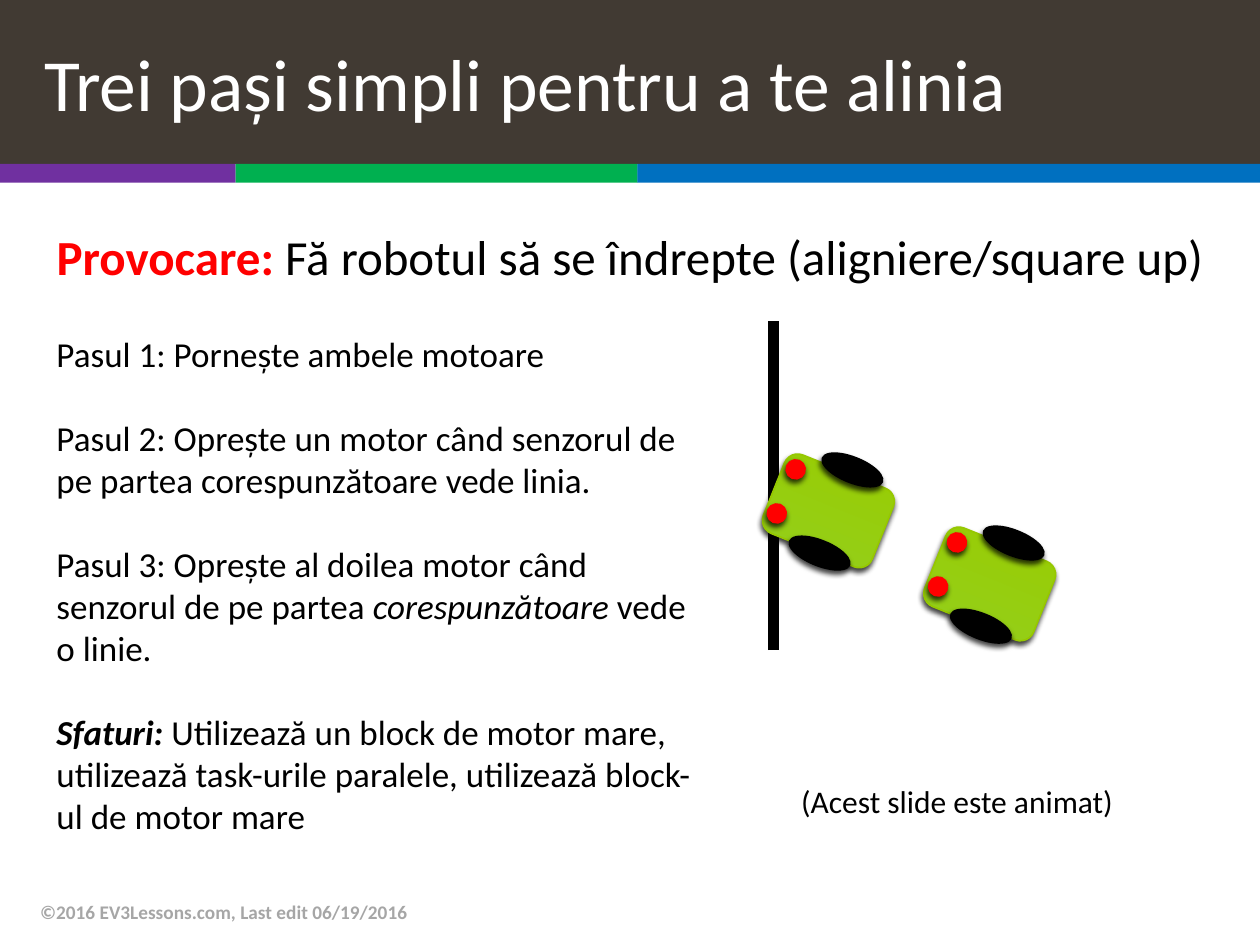
from pptx import Presentation, oxml, util as u
from pptx.dml.color import RGBColor
from pptx.enum import shapes, text
from pptx.oxml import ns

COLORS = {
    "brown": "413A33", "purple": "7030A0", "green": "00B050", "blue": "0070C0",
    "red": "FF0000", "black": "000000", "white": "FFFFFF", "gray": "A6A6A6",
    "lime_top": "93CF1E", "lime": "99CC00", "lime_edge": "96C800",
}
COLORS = {name: RGBColor.from_string(value) for name, value in COLORS.items()}
SHAPE = shapes.MSO_SHAPE
MIDDLE = text.MSO_ANCHOR.MIDDLE


def write(box, paragraphs, size, color, gap=0, **frame_format):
    frame = box.text_frame
    settings = {"word_wrap": True, "auto_size": text.MSO_AUTO_SIZE.NONE, **frame_format}
    for name, value in settings.items():
        setattr(frame, name, value)
    for index, spans in enumerate(paragraphs):
        para = frame.add_paragraph() if index else frame.paragraphs[0]
        para.alignment = text.PP_ALIGN.LEFT
        para.space_before = u.Pt(gap if index else 0)
        for words, changes in spans:
            span = para.add_run()
            span.text = words
            font = {"name": "Calibri", "size": u.Pt(size), "bold": False, "italic": False}
            for name, value in {**font, **changes}.items():
                if name != "color":
                    setattr(span.font, name, value)
            span.font.color.rgb = COLORS[changes.get("color", color)]


def place(box, left, top, width, height):
    bounds = {"left": left, "top": top, "width": width, "height": height}
    for name, value in bounds.items():
        setattr(box, name, u.Inches(value))


deck = Presentation()
deck.slide_width, deck.slide_height = u.Inches(10), u.Inches(7.5)
page = deck.slides.add_slide(deck.slide_layouts[1])

title = page.shapes.title
place(title, 0, 0, 10, 1.3)
title.fill.solid()
title.fill.fore_color.rgb = COLORS["brown"]
write(title, [[("Trei pași simpli pentru a te alinia", {})]], 42, "white",
      vertical_anchor=MIDDLE, margin_left=u.Inches(0.35))

challenge = page.placeholders[1]
place(challenge, 0.35, 1.75, 9.42, 1.36)
properties = challenge.text_frame.paragraphs[0]._p.get_or_add_pPr()
properties.set("marL", "0")
properties.set("indent", "0")
properties.append(oxml.parse_xml(f"<a:buNone {ns.nsdecls('a')}/>"))
write(challenge, [[
    ("Provocare: ", {"bold": True, "color": "red"}),
    ("Fă robotul să se îndrepte (aligniere/square up)", {}),
]], 28, "black")

for left, right, color in [(0, 1.87, "purple"), (1.87, 5.06, "green"), (5.06, 10, "blue")]:
    bar = page.shapes.add_shape(SHAPE.RECTANGLE, u.Inches(left), u.Inches(1.3),
                                u.Inches(right - left), u.Inches(0.15))
    bar.shadow.inherit = False
    bar.fill.solid()
    bar.fill.fore_color.rgb = COLORS[color]
    bar.line.fill.background()

wall = page.shapes.add_connector(shapes.MSO_CONNECTOR.STRAIGHT, u.Inches(6.14), u.Inches(5.16),
                                 u.Inches(6.14), u.Inches(2.55))
wall.line.width = u.Pt(6)
wall.line.color.rgb = COLORS["black"]
wall._element.spPr.append(oxml.parse_xml(f"<a:effectLst {ns.nsdecls('a')}/>"))

SHADOW = (
    f'<a:outerShdw {ns.nsdecls("a")} blurRad="{u.Pt(3)}" dist="{u.Pt(2)}" dir="6600000" '
    'rotWithShape="0"><a:srgbClr val="000000"><a:alpha val="75000"/></a:srgbClr></a:outerShdw>'
)
ROBOT_PARTS = [
    (SHAPE.ROUNDED_RECTANGLE, 0, 0, 0.93, 0.67, "lime"),
    (SHAPE.OVAL, 0.4, -0.09, 0.51, 0.2, "black"),
    (SHAPE.OVAL, 0.14, 0.57, 0.51, 0.2, "black"),
    (SHAPE.OVAL, 0.13, -0.07, 0.15, 0.15, "red"),
    (SHAPE.OVAL, -0.02, 0.28, 0.15, 0.15, "red"),
]
for robot_left, robot_top in [(7.39, 4.3), (6.11, 3.72)]:
    robot = page.shapes.add_group_shape()
    for kind, left, top, width, height, color in ROBOT_PARTS:
        part = robot.shapes.add_shape(kind, u.Inches(robot_left + left), u.Inches(robot_top + top),
                                      u.Inches(width), u.Inches(height))
        part.rotation = 21.9
        if color == "lime":
            part.fill.gradient()
            part.fill.gradient_angle = 90
            for stop, shade in zip(part.fill.gradient_stops, ("lime_top", "lime")):
                stop.color.rgb = COLORS[shade]
        else:
            part.fill.solid()
            part.fill.fore_color.rgb = COLORS[color]
        part.line.color.rgb = COLORS["lime_edge" if color == "lime" else color]
        part.line.width = u.Pt(1)
        part.shadow.inherit = False
        part._element.spPr.find(ns.qn("a:effectLst")).append(oxml.parse_xml(SHADOW))

STEPS = [
    [("Pasul 1: Pornește ambele motoare", {})],
    [("Pasul 2: Oprește un motor când senzorul de pe partea corespunzătoare vede linia.", {})],
    [("Pasul 3: Oprește al doilea motor când senzorul de pe partea ", {}),
     ("corespunzătoare", {"italic": True}),
     (" vede o linie.", {})],
    [("Sfaturi: ", {"bold": True, "italic": True}),
     ("Utilizează un block de motor mare, utilizează task-urile paralele, "
      "utilizează block-ul de motor mare", {})],
]
NOTE = [[("(Acest slide este animat)", {})]]
FOOTER = [[("©2016 EV3Lessons.com, Last edit 06/19/2016", {"bold": True})]]
for bounds, paragraphs, size, color, frame_format in [
    ((0.35, 2.59, 5.3, 4.48), STEPS, 20, "black", {"gap": 24}),
    ((6.26, 6.16, 3.34, 0.4), NOTE, 18, "black", {}),
    ((0.22, 7.04, 6.7, 0.4), FOOTER, 11, "gray", {"vertical_anchor": MIDDLE}),
]:
    box = page.shapes.add_textbox(*map(u.Inches, bounds))
    write(box, paragraphs, size, color, **frame_format)

deck.save("out.pptx")
